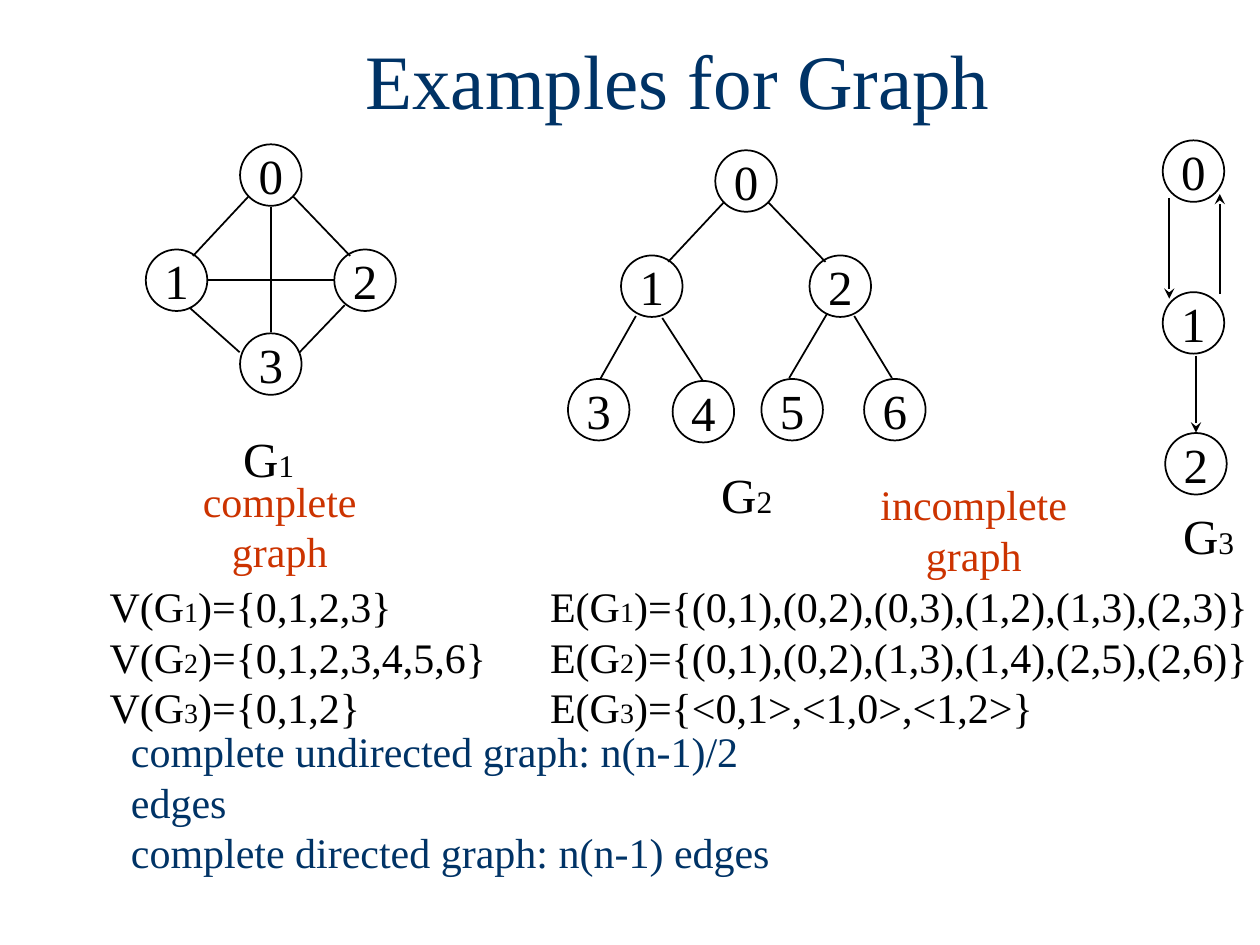
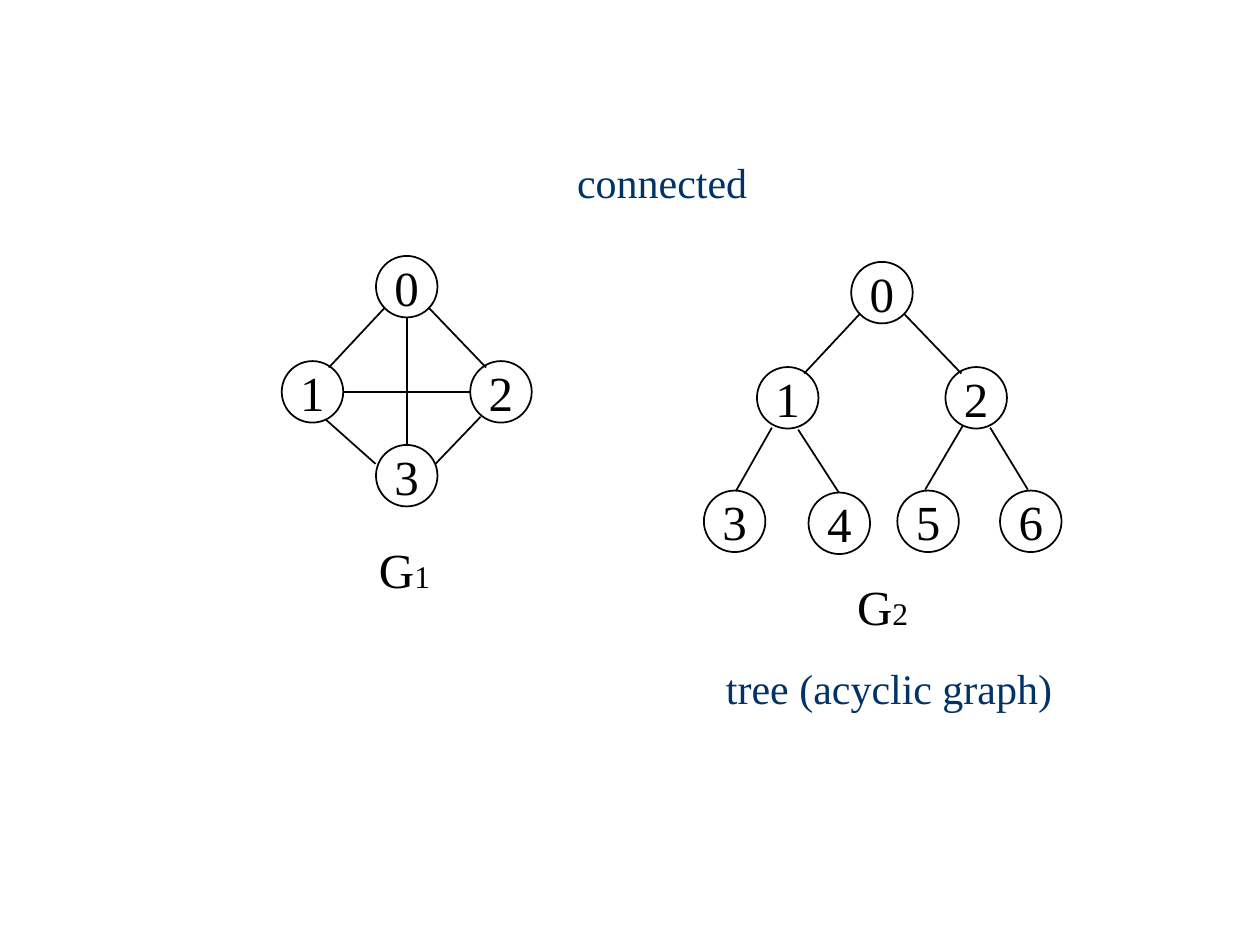
from dataclasses import dataclass
from typing import Any

import pptx
import pptx.dml.color
import pptx.enum.shapes
import pptx.enum.text
import pptx.oxml
import pptx.oxml.ns
import pptx.util
from lxml import etree

Cm = pptx.util.Cm
Pt = pptx.util.Pt
RGB = pptx.dml.color.RGBColor
Align = pptx.enum.text.PP_ALIGN
Anchor = pptx.enum.text.MSO_ANCHOR
AutoSize = pptx.enum.text.MSO_AUTO_SIZE
qn = pptx.oxml.ns.qn

Point = tuple[float, float]
Edge = tuple[Point, Point]


@dataclass(frozen=True)
class Theme:
    font: str = "Times New Roman"
    ink: RGB = RGB(0x00, 0x00, 0x00)
    paper: RGB = RGB(0xFF, 0xFF, 0xFF)
    navy: RGB = RGB(0x00, 0x33, 0x66)
    red: RGB = RGB(0xCC, 0x33, 0x00)
    title: int = 44
    node: int = 28
    node_sub: int = 18
    body: int = 24
    body_sub: int = 16
    line: int = 1
    node_diameter: float = 1.24
    set_column: float = 8.88


@dataclass(frozen=True)
class Graph:
    """Node centres, edges and label corner in cm from the centre of node 0."""
    name: str
    nodes: list[Point]
    edges: list[Edge]
    label: Point
    directed: bool = False


@dataclass(frozen=True)
class Note:
    """A text block; text between bars is set at the subscript size."""
    lines: list[str]
    box: tuple[float, float, float, float]
    color: RGB
    size: int
    sub: int = 0
    align: Any = Align.LEFT
    anchor: Any = Anchor.MIDDLE
    wrap: bool = False
    tab: float = 0


T = Theme()
BRANCHES: list[Edge] = [((-0.44, 0.42), (-1.57, 1.63)), ((0.44, 0.42), (1.6, 1.63))]
SIDES: list[Point] = [(0, 0), (-1.9, 2.12), (1.9, 2.12)]

G1 = Graph(
    "G|1",
    SIDES + [(0, 3.81)],
    BRANCHES + [
        ((0, 0.64), (0, 3.17)),
        ((-1.27, 2.12), (1.27, 2.12)),
        ((-1.63, 2.68), (-0.63, 3.57)),
        ((1.49, 2.62), (0.58, 3.57)),
    ],
    (-0.81, 4.98),
)
G2 = Graph(
    "G|2",
    SIDES + [(-2.97, 4.61), (-0.86, 4.65), (0.93, 4.61), (3, 4.61)],
    BRANCHES + [
        ((-2.22, 2.72), (-2.94, 3.99)),
        ((-1.69, 2.76), (-0.87, 4.03)),
        ((1.63, 2.68), (0.87, 3.97)),
        ((2.18, 2.72), (2.94, 3.97)),
    ],
    (-0.75, 5.59),
)
G3 = Graph(
    "G|3",
    [(0, 0), (0, 3.06), (0.05, 5.9)],
    [
        ((-0.49, 0.54), (-0.49, 2.57)),
        ((0.53, 2.47), (0.53, 0.46)),
        ((0.05, 3.72), (0.05, 5.27)),
    ],
    (-0.46, 6.61),
    directed=True,
)


def apply(obj: Any, **values: Any) -> None:
    for key, value in values.items():
        setattr(obj, key, value)


def add_run(p: Any, text: str, size: int, color: RGB) -> None:
    r = p.add_run()
    r.text = text
    apply(r.font, name=T.font, size=Pt(size))
    r.font.color.rgb = color


def add_tab(p: Any, position: float) -> None:
    tabs = etree.SubElement(p._p.get_or_add_pPr(), qn("a:tabLst"))
    etree.SubElement(tabs, qn("a:tab"), pos=str(int(Cm(position))), algn="l")


def add_note(s: Any, note: Note) -> None:
    sp = s.shapes.add_textbox(*map(Cm, note.box))
    tf = sp.text_frame
    apply(tf, word_wrap=note.wrap, vertical_anchor=note.anchor,
          auto_size=AutoSize.NONE if note.wrap else AutoSize.SHAPE_TO_FIT_TEXT)
    for i, line in enumerate(note.lines):
        p = tf.add_paragraph() if i else tf.paragraphs[0]
        p.alignment = note.align
        if note.tab:
            add_tab(p, note.tab)
        for k, part in enumerate(line.split("|")):
            add_run(p, part, note.sub if k % 2 else note.size, note.color)


def add_node(s: Any, text: str, x: float, y: float) -> None:
    d = T.node_diameter
    sp = s.shapes.add_shape(pptx.enum.shapes.MSO_SHAPE.OVAL,
                            Cm(x - d / 2), Cm(y - d / 2), Cm(d), Cm(d))
    sp.shadow.inherit = False
    sp.fill.solid()
    sp.fill.fore_color.rgb = T.paper
    sp.line.color.rgb = T.ink
    sp.line.width = Pt(T.line)
    tf = sp.text_frame
    apply(tf, word_wrap=False, vertical_anchor=Anchor.MIDDLE)
    p = tf.paragraphs[0]
    p.alignment = Align.CENTER
    add_run(p, text, T.node, T.ink)


def add_edge(s: Any, start: Point, end: Point, arrow: bool) -> None:
    cx = s.shapes.add_connector(pptx.enum.shapes.MSO_CONNECTOR.STRAIGHT,
                                *map(Cm, start + end))
    cx.line.color.rgb = T.ink
    cx.line.width = Pt(T.line)
    sp_pr = cx.element.spPr
    if arrow:
        etree.SubElement(sp_pr.find(qn("a:ln")), qn("a:tailEnd"), type="stealth")
    etree.SubElement(sp_pr, qn("a:effectLst"))


def add_graph(s: Any, graph: Graph, root: Point) -> None:
    def place(point: Point) -> Point:
        return root[0] + point[0], root[1] + point[1]

    for i, node in enumerate(graph.nodes):
        add_node(s, str(i), *place(node))
    for start, end in graph.edges:
        add_edge(s, place(start), place(end), graph.directed)
    add_note(s, Note([graph.name], (*place(graph.label), 1.55, 1.45), T.ink,
                     T.node, T.node_sub, anchor=Anchor.TOP))


def caption(text: str, left: float, top: float, width: float, color: RGB) -> Note:
    return Note([text], (left, top, width, 1.27), color, T.body, align=Align.CENTER)


def add_slide(prs: Any, graphs: list[tuple[Graph, Point]], notes: list[Note]) -> None:
    s = prs.slides.add_slide(prs.slide_layouts[6])
    for graph, root in graphs:
        add_graph(s, graph, root)
    for note in notes:
        add_note(s, note)


def main() -> None:
    prs = pptx.Presentation()
    apply(prs, slide_width=Cm(25.4), slide_height=Cm(19.05))

    title = Note(["Examples for Graph"], (1.93, 0, 23.47, 3.18), T.navy, T.title,
                 align=Align.CENTER, wrap=True)
    sets = Note(
        [
            "V(G|1|)={0,1,2,3}\tE(G|1|)={(0,1),(0,2),(0,3),(1,2),(1,3),(2,3)}",
            "V(G|2|)={0,1,2,3,4,5,6}\tE(G|2|)={(0,1),(0,2),(1,3),(1,4),(2,5),(2,6)}",
            "V(G|3|)={0,1,2}\tE(G|3|)={<0,1>,<1,0>,<1,2>}",
        ],
        (1.96, 11.58, 23.44, 3.3), T.ink, T.body, T.body_sub,
        anchor=Anchor.TOP, tab=T.set_column)
    edge_counts = Note(
        ["complete undirected graph: n(n-1)/2 edges",
         "complete directed graph: n(n-1) edges"],
        (2.39, 15.01, 14.88, 2.29), T.navy, T.body)

    add_slide(prs, [(G1, (5.46, 3.53)), (G2, (15.04, 3.65)), (G3, (24.06, 3.45))], [
        title,
        sets,
        edge_counts,
        caption("complete graph", 2.77, 9.96, 5.74, T.red),
        caption("incomplete graph", 16.43, 10.03, 6.4, T.red),
    ])
    add_slide(prs, [(G1, (8.2, 5.78)), (G2, (17.78, 5.9))], [
        caption("connected", 11.38, 3.02, 3.94, T.navy),
        caption("tree (acyclic graph)", 14.38, 13.23, 7.09, T.navy),
    ])
    prs.save("out.pptx")


if __name__ == "__main__":
    main()
